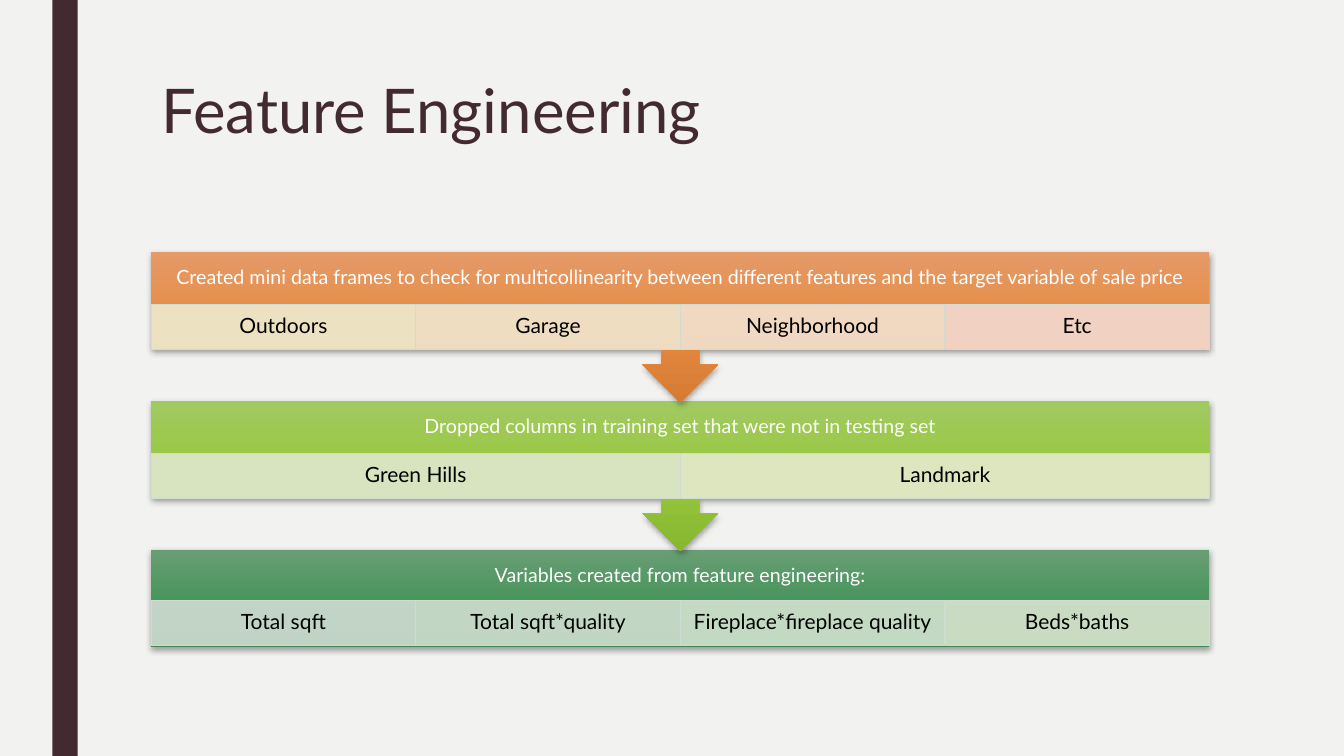
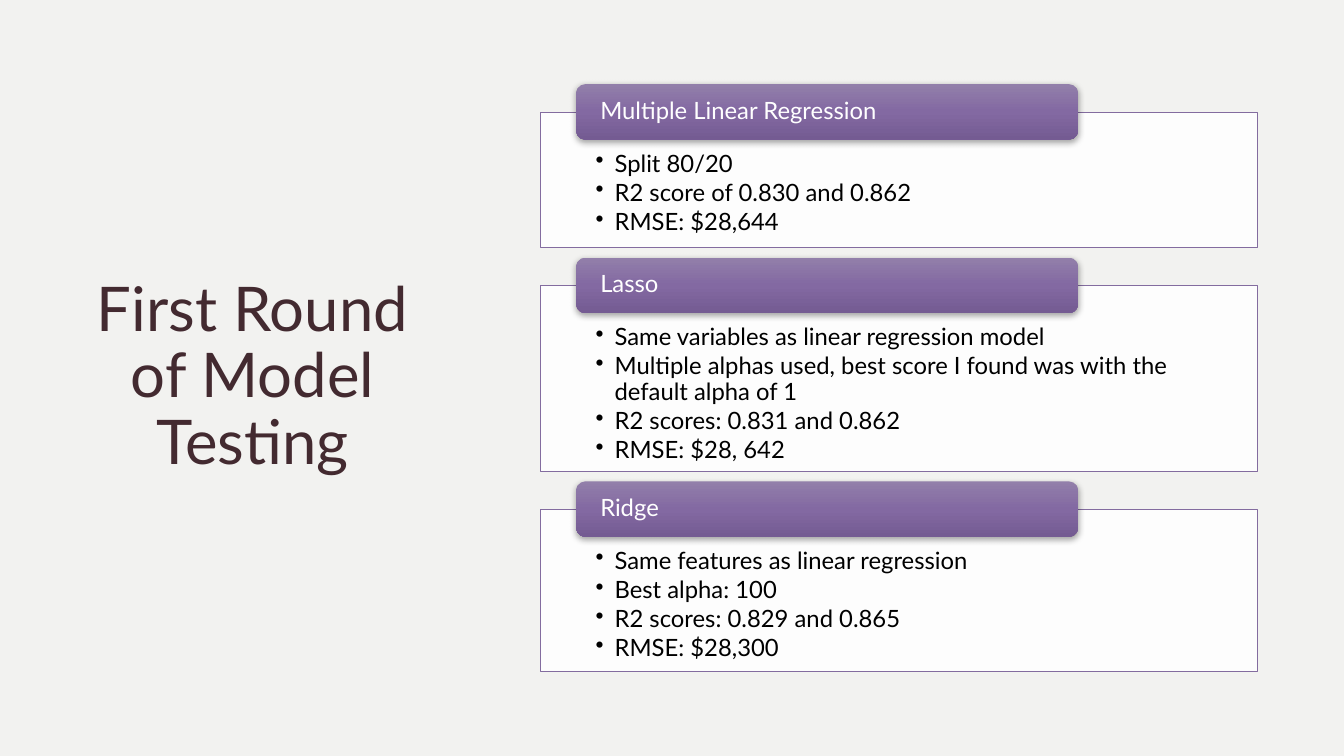
from lxml import etree
from pptx import Presentation
from pptx.dml.color import RGBColor
from pptx.enum.shapes import MSO_SHAPE
from pptx.enum.text import MSO_ANCHOR, PP_ALIGN
from pptx.oxml.ns import qn
from pptx.util import Cm, Pt

RECT, ROUNDED = MSO_SHAPE.RECTANGLE, MSO_SHAPE.ROUNDED_RECTANGLE
ARROW_BOX = MSO_SHAPE.DOWN_ARROW_CALLOUT
LEFT, CENTER = PP_ALIGN.LEFT, PP_ALIGN.CENTER
TOP, MIDDLE = MSO_ANCHOR.TOP, MSO_ANCHOR.MIDDLE
FONT = "Lato"
COLORS = {
    "paper": "F2F2F0", "plum": "432A30", "white": "FFFFFF", "black": "000000",
    "cell_edge": "D0DCD2", "card_edge": "836C9F",
}
GRADIENTS = {
    "orange": ["E59A67", "E78B43", "D67B33"],
    "lime": ["A1C962", "97C83C", "88B730"],
    "green": ["689E74", "4A955D", "3E8851"],
    "purple": ["927FAA", "8369A2", "745B92"],
}


def write(shape, lines, size, color, align=CENTER, anchor=MIDDLE,
          insets=(0.25, 0.13, 0.25, 0.13), bullets=False):
    """Write lines as paragraphs; insets are left, top, right, bottom in cm."""
    frame = shape.text_frame
    frame.word_wrap = True
    frame.vertical_anchor = anchor
    (frame.margin_left, frame.margin_top,
     frame.margin_right, frame.margin_bottom) = map(Cm, insets)
    for number, line in enumerate(lines):
        paragraph = frame.add_paragraph() if number else frame.paragraphs[0]
        paragraph.alignment = align
        paragraph.line_spacing = 0.9
        run = paragraph.add_run()
        run.text = line
        run.font.name, run.font.size = FONT, Pt(size)
        run.font.color.rgb = RGBColor.from_string(COLORS[color])
        if bullets:
            paragraph.space_after = Pt(2.5)
            props = paragraph._p.get_or_add_pPr()
            props.set("marL", str(Cm(0.48)))
            props.set("indent", str(-Cm(0.48)))
            etree.SubElement(props, qn("a:buChar"), char="•")


def add_box(slide, kind, place, fill, edge=None):
    """Add a shape: a list fill gives a shadowed gradient, an edge a see-through panel."""
    box = slide.shapes.add_shape(kind, *map(Cm, place))
    box.shadow.inherit = False
    box.line.fill.background()
    props = box._element.spPr
    if isinstance(fill, list):
        box.fill.gradient()
        box.fill.gradient_angle = 270
        stops = props.find(".//" + qn("a:gsLst"))
        stops.clear()
        for position, color in zip((0, 50000, 100000), fill):
            stop = etree.SubElement(stops, qn("a:gs"), pos=str(position))
            etree.SubElement(stop, qn("a:srgbClr"), val=color)
        shadow = etree.SubElement(
            props.find(qn("a:effectLst")), qn("a:outerShdw"), blurRad=str(Pt(4.5)),
            dist=str(Pt(1.5)), dir="5400000", algn="ctr", rotWithShape="0")
        shade = etree.SubElement(shadow, qn("a:srgbClr"), val=COLORS["black"])
        etree.SubElement(shade, qn("a:alpha"), val="35000")
    else:
        box.fill.solid()
        box.fill.fore_color.rgb = RGBColor.from_string(fill)
    if edge:
        box.line.width = Pt(0.5)
        box.line.color.rgb = RGBColor.from_string(edge)
        fill_color = props.find(qn("a:solidFill")).find(qn("a:srgbClr"))
        etree.SubElement(fill_color, qn("a:alpha"), val="90000")
    return box


deck = Presentation()
deck.slide_width, deck.slide_height = Cm(33.87), Cm(19.05)
background = deck.slide_master.background.fill
background.solid()
background.fore_color.rgb = RGBColor.from_string(COLORS["paper"])

titles = [
    ("Feature Engineering", (3.81, 1.9, 26.67, 4.11), LEFT, TOP),
    ("First Round of Model Testing", (1.78, 1.78, 9.17, 15.49), CENTER, MIDDLE),
]
for wording, place, align, anchor in titles:
    slide = deck.slides.add_slide(deck.slide_layouts.get_by_name("Title Only"))
    title = slide.shapes.title
    title.left, title.top, title.width, title.height = map(Cm, place)
    write(title, [wording], 44, "plum", align, anchor)
engineering, testing = deck.slides

# Feature engineering: three steps, drawn from the last so each arrow lies on top
add_box(engineering, RECT, (1.32, 0, 0.64, 19.05), COLORS["plum"])
steps = [
    ("Created mini data frames to check for multicollinearity between different "
     "features and the target variable of sale price", "orange",
     [("Outdoors", "EDEBCF"), ("Garage", "EFE6CF"),
      ("Neighborhood", "F1E1CF"), ("Etc", "F3DAD0")]),
    ("Dropped columns in training set that were not in testing set", "lime",
     [("Green Hills", "DFE8CE"), ("Landmark", "E6EACE")]),
    ("Variables created from feature engineering:", "green",
     [("Total sqft", "D0DCD2"), ("Total sqft*quality", "D0DFCF"),
      ("Fireplace*fireplace quality", "D3E2CF"), ("Beds*baths", "D8E5CF")]),
]
step_left, step_top, step_width, step_pitch = 3.81, 6.35, 26.67, 3.75
cell_height = 1.13
for index, (heading, gradient, features) in reversed(list(enumerate(steps))):
    is_last = index == len(steps) - 1
    kind, height, cell_drop = (RECT, 2.46, 1.28) if is_last else (ARROW_BOX, 3.79, 1.32)
    top = step_top + index * step_pitch
    step = add_box(engineering, kind, (step_left, top, step_width, height),
                   GRADIENTS[gradient])
    write(step, [heading], 14, "white", insets=(0.28, 0, 0.28, cell_height))
    cell_width = step_width / len(features)
    for column, (feature, tint) in enumerate(features):
        cell = add_box(engineering, RECT,
                       (step_left + column * cell_width, top + cell_drop,
                        cell_width, cell_height), tint, COLORS["cell_edge"])
        write(cell, [feature], 15, "black", insets=(0.25, 0.05, 0.25, 0.05))

# Model testing: stacked cards, each with a name tag over its top edge
models = [
    ("Multiple Linear Regression", 3.41,
     ["Split 80/20", "R2 score of 0.830 and 0.862", "RMSE: $28,644"]),
    ("Lasso", 4.68,
     ["Same variables as linear regression model",
      "Multiple alphas used, best score I found was with the default alpha of 1",
      "R2 scores: 0.831 and 0.862", "RMSE: $28, 642"]),
    ("Ridge", 4.09,
     ["Same features as linear regression", "Best alpha: 100",
      "R2 scores: 0.829 and 0.865", "RMSE: $28,300"]),
]
card_top, card_gap = 2.83, 0.96
for model, card_height, findings in models:
    card = add_box(testing, RECT, (13.61, card_top, 18.08, card_height),
                   COLORS["white"], COLORS["card_edge"])
    write(card, findings, 17, "black", LEFT, TOP, (1.4, 0.99, 1.4, 0.33), bullets=True)
    tag = add_box(testing, ROUNDED, (14.52, card_top - 0.71, 12.65, 1.4),
                  GRADIENTS["purple"])
    write(tag, [model], 17, "white", LEFT, insets=(0.54, 0, 0.54, 0))
    card_top += card_height + card_gap

deck.save("out.pptx")
